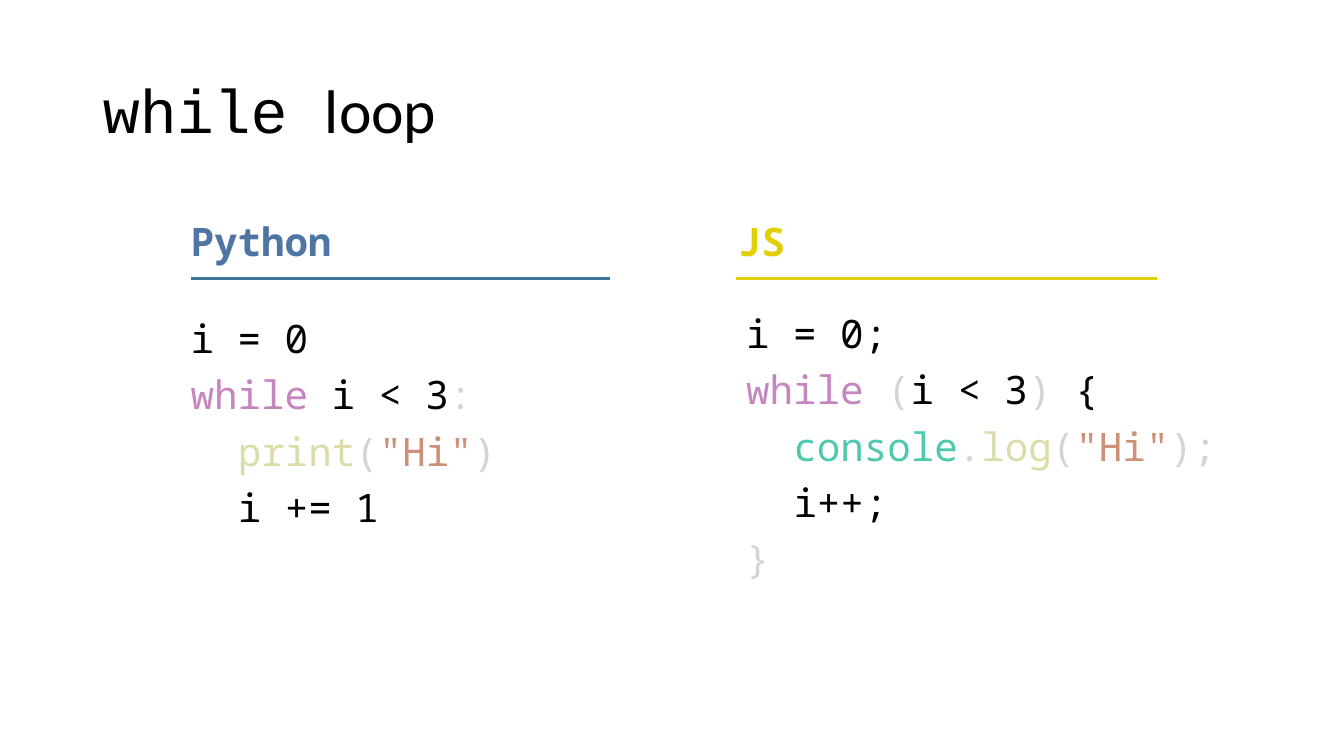
from dataclasses import dataclass

from lxml import etree
from pptx import Presentation
from pptx.dml.color import RGBColor
from pptx.enum.shapes import MSO_CONNECTOR
from pptx.enum.text import MSO_ANCHOR, MSO_AUTO_SIZE, PP_ALIGN
from pptx.oxml.ns import qn
from pptx.util import Inches, Pt

STRAIGHT = MSO_CONNECTOR.STRAIGHT
TOP, MIDDLE = MSO_ANCHOR.TOP, MSO_ANCHOR.MIDDLE
FIXED, GROW = MSO_AUTO_SIZE.NONE, MSO_AUTO_SIZE.SHAPE_TO_FIT_TEXT
LEFT = PP_ALIGN.LEFT
COMPARISON_LAYOUT = 4


@dataclass(frozen=True)
class Theme:
    """Colours, fonts and sizes of the page."""

    ink: str = "000000"
    keyword: str = "C586C0"
    mark: str = "D4D4D4"
    function: str = "DCDCAA"
    string: str = "CE9178"
    builtin: str = "4EC9B0"
    python: str = "4E75A3"
    python_rule: str = "40749B"
    js: str = "DFCF04"
    code_font: str = "Noto Sans Mono"
    title_mono: str = "Courier New"
    title_sans: str = "Calibri"
    title_size: int = 44
    code_size: int = 28
    rule_width: float = 2.25
    code_indent: float = 0.47


THEME = Theme()

PYTHON_CODE = [
    (0, [("i = 0", THEME.ink)]),
    (0, [("while ", THEME.keyword), ("i < 3", THEME.ink), (":", THEME.mark)]),
    (1, [("print", THEME.function), ("(", THEME.mark),
         ('"Hi"', THEME.string), (")", THEME.mark)]),
    (1, [("i += 1", THEME.ink)]),
]
JS_CODE = [
    (0, [("i = 0;", THEME.ink)]),
    (0, [("while", THEME.keyword), (" (", THEME.mark), ("i < 3", THEME.ink),
         (") ", THEME.mark), ("{", THEME.ink)]),
    (1, [("console", THEME.builtin), (".", THEME.mark), ("log", THEME.function),
         ("(", THEME.mark), ('"Hi"', THEME.string), (");", THEME.mark)]),
    (1, [("i++;", THEME.ink)]),
    (0, [("}", THEME.mark)]),
]


def apply_format(target, values):
    """Set each named attribute on the target."""
    for name, value in values.items():
        setattr(target, name, value)


def place(holder, box, anchor=TOP, auto_size=FIXED):
    """Move a placeholder into a box and return its text frame."""
    sides = ("left", "top", "width", "height")
    apply_format(holder, dict(zip(sides, map(Inches, box))))
    frame = holder.text_frame
    apply_format(frame, {"word_wrap": True, "vertical_anchor": anchor,
                         "auto_size": auto_size})
    return frame


def add_span(para, text, color, font, size, bold=False):
    """Append a formatted run to a paragraph."""
    span = para.add_run()
    span.text = text
    apply_format(span.font, {"name": font, "size": Pt(size), "bold": bold})
    span.font.color.rgb = RGBColor.from_string(color)


def format_para(para, level=0, spacing=0.9, before=0):
    """Set spacing and indent of a paragraph and switch its bullet off."""
    apply_format(para, {"alignment": LEFT, "line_spacing": spacing,
                        "space_before": Pt(before)})
    properties = para._p.get_or_add_pPr()
    properties.set("marL", str(Inches(level * THEME.code_indent)))
    properties.set("indent", "0")
    etree.SubElement(properties, qn("a:buNone"))


def add_title(holder, box):
    """Write the title in two fonts."""
    para = place(holder, box, MIDDLE).paragraphs[0]
    format_para(para)
    add_span(para, "while ", THEME.ink, THEME.title_mono, THEME.title_size)
    add_span(para, "loop", THEME.ink, THEME.title_sans, THEME.title_size)


def add_heading(holder, box, name, color):
    """Write the language name above its rule."""
    para = place(holder, box, auto_size=GROW).paragraphs[0]
    format_para(para, spacing=1.0)
    add_span(para, name, color, THEME.code_font, THEME.code_size, bold=True)


def add_rule(page, left, top, width, color):
    """Draw the coloured line under a heading."""
    rule = page.shapes.add_connector(
        STRAIGHT, *map(Inches, (left, top, left + width, top)))
    rule.line.color.rgb = RGBColor.from_string(color)
    rule.line.width = Pt(THEME.rule_width)
    etree.SubElement(rule._element.spPr, qn("a:effectLst"))


def add_code(holder, box, lines):
    """Write highlighted code, one paragraph a line."""
    frame = place(holder, box)
    for index, (level, spans) in enumerate(lines):
        para = frame.add_paragraph() if index else frame.paragraphs[0]
        format_para(para, level, before=10)
        for text, color in spans:
            add_span(para, text, color, THEME.code_font, THEME.code_size)


def add_language(page, holders, box, name, colors, rule, code_box, lines):
    """Build one column, with rule and code offset from the box corner."""
    left, top, width, height = box
    heading, code = holders
    add_heading(heading, box, name, colors[0])
    add_rule(page, left + rule[0], top + 0.65, rule[1], colors[1])
    across, down, code_width, code_height = code_box
    add_code(code, (left + across, top + down, code_width, code_height), lines)


def build_comparison(deck):
    """Build the page that compares the loop in two languages."""
    page = deck.slides.add_slide(deck.slide_layouts[COMPARISON_LAYOUT])
    holders = {item.placeholder_format.idx: item for item in page.placeholders}
    add_title(page.shapes.title, (0.92, 0.4, 11.5, 1.45))
    add_language(page, (holders[1], holders[2]), (1.79, 2.11, 1.82, 0.57),
                 "Python", (THEME.python, THEME.python_rule), (0.1, 4.16),
                 (0, 1.01, 4.25, 3.68), PYTHON_CODE)
    add_language(page, (holders[3], holders[4]), (7.22, 2.11, 1.82, 0.57),
                 "JS", (THEME.js, THEME.js), (0.08, 4.18),
                 (0.08, 0.96, 5.47, 2.86), JS_CODE)


def main():
    """Create the deck and save it."""
    deck = Presentation()
    apply_format(deck, {"slide_width": Inches(13.33), "slide_height": Inches(7.5)})
    build_comparison(deck)
    deck.save("out.pptx")


main()
